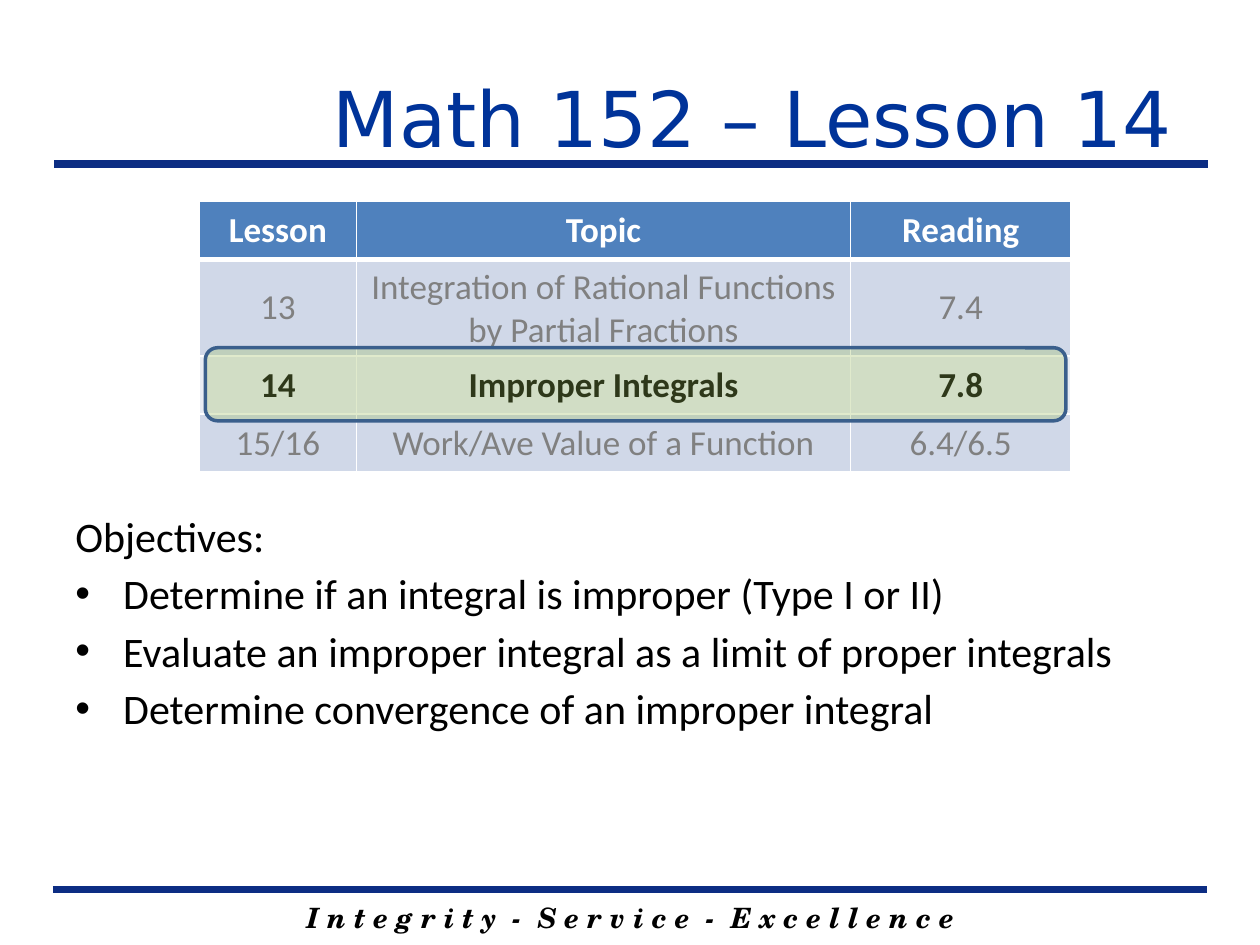
from dataclasses import dataclass

from lxml import etree
from pptx import Presentation
from pptx.dml.color import RGBColor
from pptx.enum import shapes, text
from pptx.oxml import ns
from pptx.util import Inches, Pt


@dataclass(frozen=True)
class Theme:
    heading: str = "003399"
    rule: str = "0C2D83"
    black: str = "000000"
    white: str = "FFFFFF"
    muted: str = "808080"
    header_fill: str = "4F81BD"
    band_dark: str = "D0D8E8"
    band_light: str = "E9EDF4"
    highlight: str = "9BBB59"
    highlight_line: str = "3A5F8C"
    body_font: str = "Calibri"
    title_font: str = "DejaVu Sans"
    motto_font: str = "TeX Gyre Schola"
    title_size: int = 44
    body_size: int = 24
    table_size: int = 20
    motto_size: int = 16


THEME = Theme()


@dataclass(frozen=True)
class Box:
    left: float
    top: float
    width: float
    height: float

    def lengths(self):
        return [Inches(v) for v in (self.left, self.top, self.width, self.height)]


@dataclass(frozen=True)
class TextStyle:
    font: str
    size: int
    color: str
    bold: bool = False
    italic: bool = False
    align: text.PP_ALIGN = text.PP_ALIGN.LEFT


@dataclass(frozen=True)
class LessonRow:
    cells: tuple
    height: float
    fill: str
    color: str
    bold: bool = False


LESSONS = (
    LessonRow(("Lesson", "Topic", "Reading"), 0.46, THEME.header_fill, THEME.white, True),
    LessonRow(("13", "Integration of Rational Functions by Partial Fractions", "7.4"),
              0.76, THEME.band_dark, THEME.muted),
    LessonRow(("14", "Improper Integrals", "7.8"), 0.46, THEME.band_light, THEME.black, True),
    LessonRow(("15/16", "Work/Ave Value of a Function", "6.4/6.5"),
              0.46, THEME.band_dark, THEME.muted),
)
COLUMN_WIDTHS = (1.25, 3.92, 1.75)
OBJECTIVES = (
    "Determine if an integral is improper (Type I or II)",
    "Evaluate an improper integral as a limit of proper integrals",
    "Determine convergence of an improper integral",
)


def rgb(color: str) -> RGBColor:
    return RGBColor.from_string(color)


def format_paragraph(paragraph, style: TextStyle) -> None:
    paragraph.alignment = style.align
    for run in paragraph.runs:
        run.font.name = style.font
        run.font.size = Pt(style.size)
        run.font.bold = style.bold
        run.font.italic = style.italic
        run.font.color.rgb = rgb(style.color)


def add_text(slide, box: Box, lines: tuple, style: TextStyle,
             anchor=text.MSO_ANCHOR.TOP):
    text_frame = slide.shapes.add_textbox(*box.lengths()).text_frame
    text_frame.word_wrap = True
    text_frame.vertical_anchor = anchor
    text_frame.text = "\n".join(lines)
    for paragraph in text_frame.paragraphs:
        format_paragraph(paragraph, style)
    return text_frame


def add_bullet(paragraph, indent: float) -> None:
    properties = paragraph._p.get_or_add_pPr()
    properties.set("marL", str(Inches(indent)))
    properties.set("indent", str(-Inches(indent)))
    etree.SubElement(properties, ns.qn("a:buFont"), typeface="Arial")
    etree.SubElement(properties, ns.qn("a:buChar"), char="•")


def add_rule(slide, left: float, top: float, width: float) -> None:
    connector = slide.shapes.add_connector(
        shapes.MSO_CONNECTOR.STRAIGHT,
        Inches(left), Inches(top), Inches(left + width), Inches(top))
    connector.line.color.rgb = rgb(THEME.rule)
    connector.line.width = Pt(4.5)
    etree.SubElement(connector._element.spPr, ns.qn("a:effectLst"))


def set_borders(cell, widths: dict) -> None:
    """Draw white borders; widths maps L, R, T and B to points."""
    properties = cell._tc.get_or_add_tcPr()
    for index, (side, width) in enumerate(widths.items()):
        line = etree.Element(ns.qn(f"a:ln{side}"), w=str(Pt(width)))
        fill = etree.SubElement(line, ns.qn("a:solidFill"))
        etree.SubElement(fill, ns.qn("a:srgbClr"), val=THEME.white)
        properties.insert(index, line)


def add_lesson_table(slide, box: Box) -> None:
    table = slide.shapes.add_table(
        len(LESSONS), len(COLUMN_WIDTHS), *box.lengths()).table
    for column, width in zip(table.columns, COLUMN_WIDTHS):
        column.width = Inches(width)
    for row_index, lesson in enumerate(LESSONS):
        table.rows[row_index].height = Inches(lesson.height)
        style = TextStyle(THEME.body_font, THEME.table_size, lesson.color,
                          lesson.bold, align=text.PP_ALIGN.CENTER)
        borders = {"L": 1, "R": 1, "T": 3 if row_index == 1 else 1,
                   "B": 3 if row_index == 0 else 1}
        for column_index, label in enumerate(lesson.cells):
            cell = table.cell(row_index, column_index)
            cell.text_frame.text = label
            cell.vertical_anchor = text.MSO_ANCHOR.MIDDLE
            cell.fill.solid()
            cell.fill.fore_color.rgb = rgb(lesson.fill)
            format_paragraph(cell.text_frame.paragraphs[0], style)
            set_borders(cell, borders)


def add_highlight(slide, box: Box, opacity: int) -> None:
    shape = slide.shapes.add_shape(
        shapes.MSO_SHAPE.ROUNDED_RECTANGLE, *box.lengths())
    shape.shadow.inherit = False
    shape.fill.solid()
    shape.fill.fore_color.rgb = rgb(THEME.highlight)
    color = shape._element.spPr.find(ns.qn("a:solidFill"))[0]
    etree.SubElement(color, ns.qn("a:alpha"), val=str(opacity * 1000))
    shape.line.color.rgb = rgb(THEME.highlight_line)
    shape.line.width = Pt(2)


def main() -> None:
    presentation = Presentation()
    presentation.slide_width = Inches(10)
    presentation.slide_height = Inches(7.5)
    slide = presentation.slides.add_slide(presentation.slide_layouts[6])

    add_text(slide, Box(1.42, 7.1, 7.17, 0.37),
             ("I n t e g r i t y  -  S e r v i c e  -  E x c e l l e n c e",),
             TextStyle(THEME.motto_font, THEME.motto_size, THEME.black,
                       True, True, text.PP_ALIGN.CENTER))
    add_rule(slide, 0.42, 7.06, 9.16)
    add_rule(slide, 0.43, 1.3, 9.16)
    add_text(slide, Box(1.8, 0.3, 7.8, 1.25), ("Math 152 – Lesson 14 ",),
             TextStyle(THEME.title_font, THEME.title_size, THEME.heading,
                       align=text.PP_ALIGN.RIGHT), text.MSO_ANCHOR.MIDDLE)

    objectives = add_text(slide, Box(0.5, 4, 9, 2.95), ("Objectives:", *OBJECTIVES),
                          TextStyle(THEME.body_font, THEME.body_size, THEME.black))
    for paragraph in objectives.paragraphs:
        paragraph.space_before = Pt(4)
    for paragraph in objectives.paragraphs[1:]:
        add_bullet(paragraph, 0.38)

    add_lesson_table(slide, Box(1.58, 1.6, 6.92, 2.14))
    add_highlight(slide, Box(1.63, 2.76, 6.83, 0.58), opacity=30)
    presentation.save("out.pptx")


if __name__ == "__main__":
    main()
